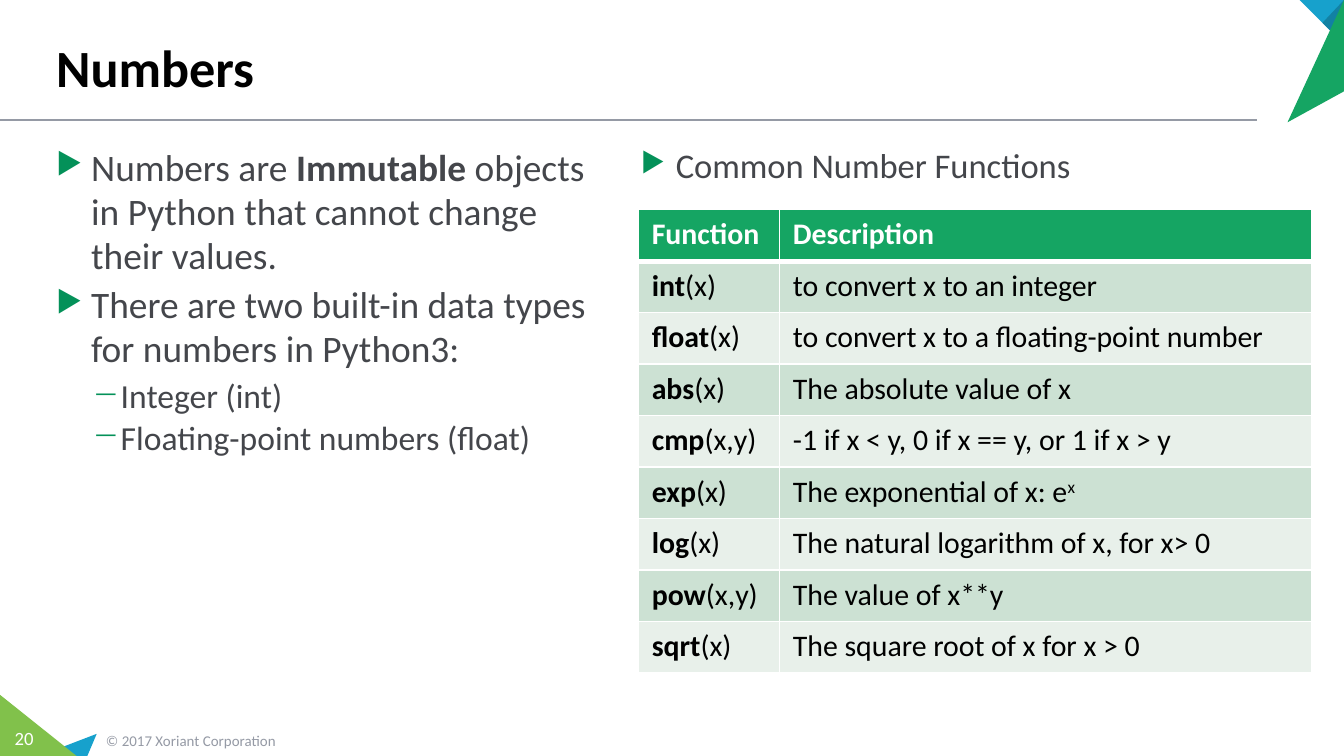
from dataclasses import dataclass

from lxml import etree
from pptx import Presentation
from pptx.dml.color import RGBColor
from pptx.enum.shapes import MSO_CONNECTOR
from pptx.enum.text import MSO_ANCHOR, PP_ALIGN
from pptx.oxml.ns import qn
from pptx.util import Inches, Pt

STRAIGHT = MSO_CONNECTOR.STRAIGHT
TOP, MIDDLE, BOTTOM = MSO_ANCHOR.TOP, MSO_ANCHOR.MIDDLE, MSO_ANCHOR.BOTTOM
LEFT, CENTER = PP_ALIGN.LEFT, PP_ALIGN.CENTER
WIDTH, HEIGHT = Inches(10), Inches(5.625)


@dataclass(frozen=True)
class Theme:
    font: str = "Calibri"
    ink: str = "000000"
    body: str = "44464B"
    muted: str = "959AA5"
    white: str = "FFFFFF"
    green: str = "15A563"
    lime: str = "81C14B"
    blue: str = "17A1CC"
    deep_blue: str = "1281A3"
    bullet: str = "049159"
    bands: tuple = ("E8F0EA", "CCE1D3")
    title_size: float = 28
    point_size: float = 20
    lead_size: float = 18.5
    subpoint_size: float = 18
    table_size: float = 16
    number_size: float = 10
    footer_size: float = 8


THEME = Theme()

CORNERS = [
    (THEME.blue, [(7.2, 97.07), (6.5, 100), (2.9, 100)]),
    (THEME.lime, [(0, 91.91), (5.7, 100), (0, 100)]),
    (THEME.blue, [(96.7, 0), (100, 0), (100, 5.87)]),
    (THEME.deep_blue, [(98.4, 3.02), (100, 0), (100, 5.87)]),
    (THEME.green, [(95.8, 16.18), (100, 0), (100, 12.09)]),
]

FUNCTIONS = [
    ("int", "(x)", "to convert x to an integer", ""),
    ("float", "(x)", "to convert x to a floating-point number", ""),
    ("abs", "(x)", "The absolute value of x", ""),
    ("cmp", "(x,y)", "-1 if x < y, 0 if x == y, or 1 if x > y", ""),
    ("exp", "(x)", "The exponential of x: e", "x"),
    ("log", "(x)", "The natural logarithm of x, for x> 0", ""),
    ("pow", "(x,y)", "The value of x**y", ""),
    ("sqrt", "(x)", "The square root of x for x > 0", ""),
]


def across(percent):
    return round(WIDTH * percent / 100)


def down(percent):
    return round(HEIGHT * percent / 100)


def area(left, top, width, height):
    return across(left), down(top), across(width), down(height)


def style(font, size, color):
    font.name, font.size = THEME.font, Pt(size)
    font.color.rgb = RGBColor.from_string(color)


def add_runs(paragraph, *pieces):
    for text, bold in pieces:
        run = paragraph.add_run()
        run.text = text
        if bold:
            run.font.bold = True


def add_triangle(slide, color, corners):
    start, *others = [(across(x), down(y)) for x, y in corners]
    builder = slide.shapes.build_freeform(*start)
    builder.add_line_segments(others, close=True)
    triangle = builder.convert_to_shape()
    triangle.shadow.inherit = False
    triangle.fill.solid()
    triangle.fill.fore_color.rgb = RGBColor.from_string(color)
    triangle.line.fill.background()


def add_rule(slide, end, level):
    rule = slide.shapes.add_connector(STRAIGHT, 0, down(level), across(end), down(level))
    rule.line.width = Pt(1)
    rule.line.color.rgb = RGBColor.from_string(THEME.muted)
    etree.SubElement(rule._element.spPr, qn("a:effectLst"))


def add_frame(slide, box, anchor=TOP):
    frame = slide.shapes.add_textbox(*area(*box)).text_frame
    frame.word_wrap = True
    frame.vertical_anchor = anchor
    return frame


def add_label(slide, box, text, size, color, anchor=TOP, bold=False, align=LEFT):
    frame = add_frame(slide, box, anchor)
    label = frame.paragraphs[0]
    label.text, label.alignment = text, align
    style(label.font, size, color)
    label.font.bold = bold
    return frame


def add_bullet(paragraph, mark, share, indent, hanging):
    properties = paragraph._p.get_or_add_pPr()
    properties.set("marL", str(Inches(indent)))
    properties.set("indent", str(-Inches(hanging)))
    color = etree.SubElement(properties, qn("a:buClr"))
    etree.SubElement(color, qn("a:srgbClr"), val=THEME.bullet)
    etree.SubElement(properties, qn("a:buSzPct"), val=str(share * 1000))
    etree.SubElement(properties, qn("a:buChar"), char=mark)


def add_points(slide, box, points):
    frame = add_frame(slide, box)
    for index, (level, size, pieces) in enumerate(points):
        point = frame.add_paragraph() if index else frame.paragraphs[0]
        point.level = level
        if level:
            add_bullet(point, "─", 100, 0.48, 0.21)
        else:
            add_bullet(point, "▶", 80, 0.26, 0.26)
        point.line_spacing = 0.98
        point.space_after = Pt(1 if level else 3)
        style(point.font, size, THEME.body)
        add_runs(point, *pieces)


def set_borders(cell, top, bottom):
    properties = cell._tc.get_or_add_tcPr()
    for side, width in (("L", 1), ("R", 1), ("T", top), ("B", bottom)):
        border = etree.SubElement(properties, qn(f"a:ln{side}"), w=str(Pt(width)))
        fill = etree.SubElement(border, qn("a:solidFill"))
        etree.SubElement(fill, qn("a:srgbClr"), val=THEME.white)


def fill_cell(table, row, column, pieces):
    cell = table.cell(row, column)
    set_borders(cell, 3 if row == 1 else 1, 1 if row else 3)
    cell.fill.solid()
    background = THEME.bands[row % 2] if row else THEME.green
    cell.fill.fore_color.rgb = RGBColor.from_string(background)
    paragraph = cell.text_frame.paragraphs[0]
    style(paragraph.font, THEME.table_size, THEME.ink if row else THEME.white)
    add_runs(paragraph, *pieces)
    return paragraph


def add_function_table(slide, box):
    table = slide.shapes.add_table(len(FUNCTIONS) + 1, 2, *area(*box)).table
    for column, share in enumerate((10.5, 39.6)):
        table.columns[column].width = across(share)
    for column, heading in enumerate(("Function", "Description")):
        fill_cell(table, 0, column, [(heading, True)])
    for row, (name, arguments, description, power) in enumerate(FUNCTIONS, 1):
        fill_cell(table, row, 0, [(name, True), (arguments, False)])
        explanation = fill_cell(table, row, 1, [(description, False)])
        if power:
            add_runs(explanation, (power, False))
            explanation.runs[-1]._r.get_or_add_rPr().set("baseline", "30000")


def main():
    deck = Presentation()
    deck.slide_width, deck.slide_height = WIDTH, HEIGHT
    slide = deck.slides.add_slide(deck.slide_layouts[6])

    for color, corners in CORNERS:
        add_triangle(slide, color, corners)
    add_rule(slide, 93.5, 15.82)
    add_label(slide, (6.9, 95.82, 23.3, 4.27), "© 2017 Xoriant Corporation",
              THEME.footer_size, THEME.muted, MIDDLE)
    page = add_label(slide, (0, 95.29, 3.6, 4.8), "20", THEME.number_size,
                     THEME.white, align=CENTER)
    page.margin_left = page.margin_right = 0

    add_points(slide, (46.7, 18.49, 46, 7.82), [
        (0, THEME.lead_size, [("Common Number Functions", False)]),
    ])
    add_points(slide, (3.2, 18.49, 41.8, 75.91), [
        (0, THEME.point_size, [
            ("Numbers are ", False), ("Immutable", True),
            (" objects in Python that cannot change their values.", False)]),
        (0, THEME.point_size, [
            ("There are two built-in data types for numbers in Python3:", False)]),
        (1, THEME.subpoint_size, [("Integer (int)", False)]),
        (1, THEME.subpoint_size, [("Floating-point numbers (float)", False)]),
    ])
    add_label(slide, (3.2, 1.07, 90, 12.8), "Numbers", THEME.title_size,
              THEME.ink, BOTTOM, bold=True)
    add_function_table(slide, (47.5, 27.73, 50.1, 61.33))
    deck.save("out.pptx")


if __name__ == "__main__":
    main()
